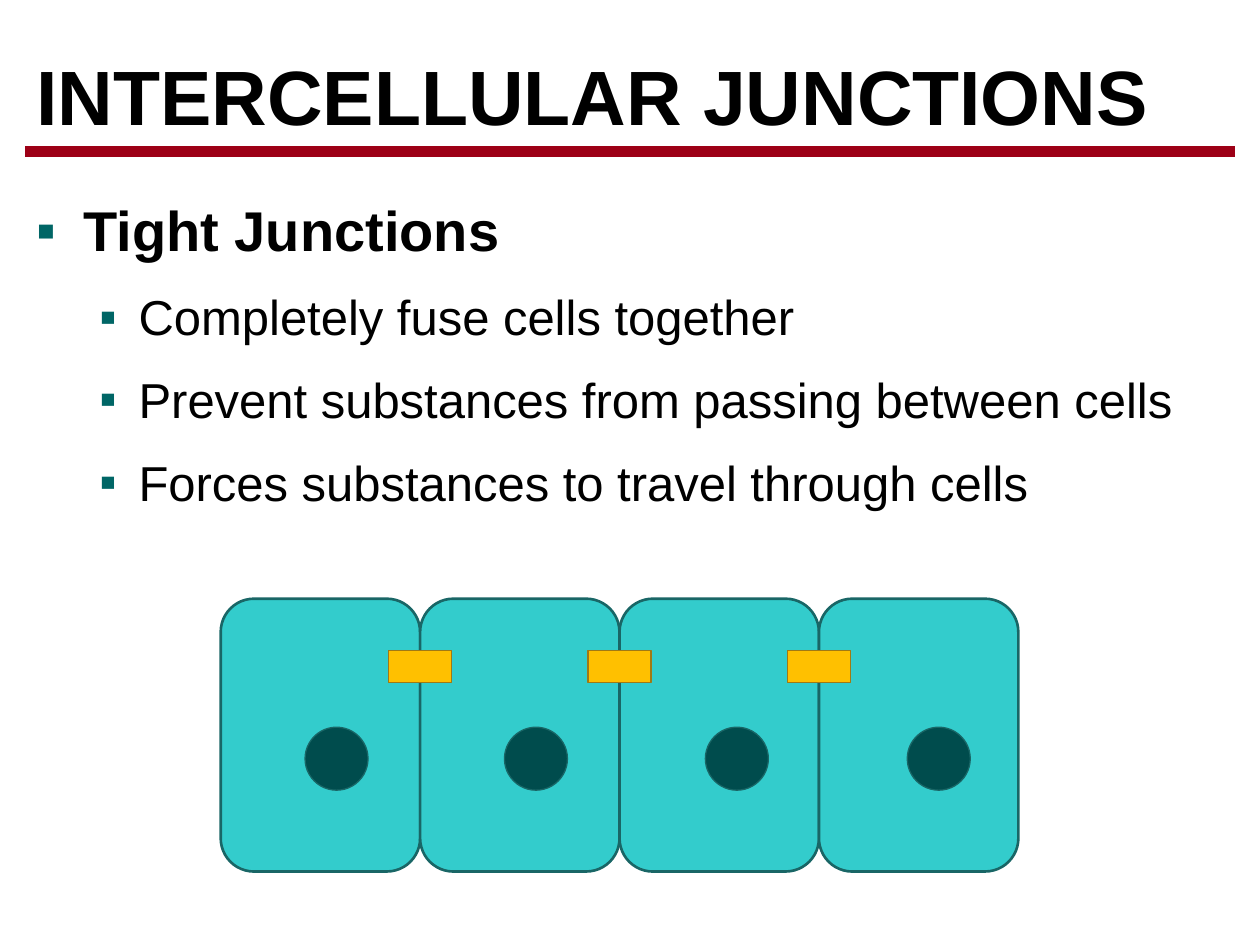
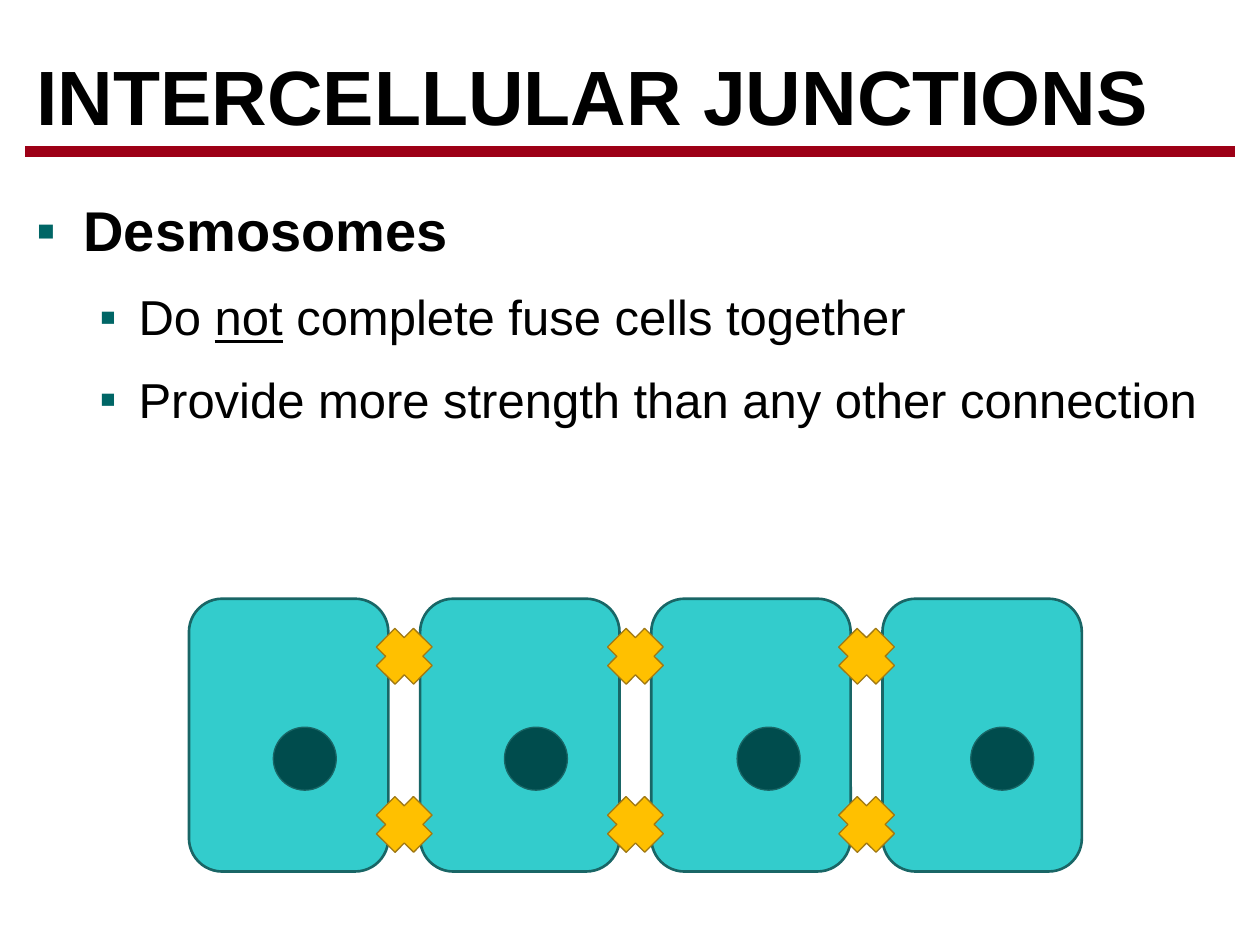
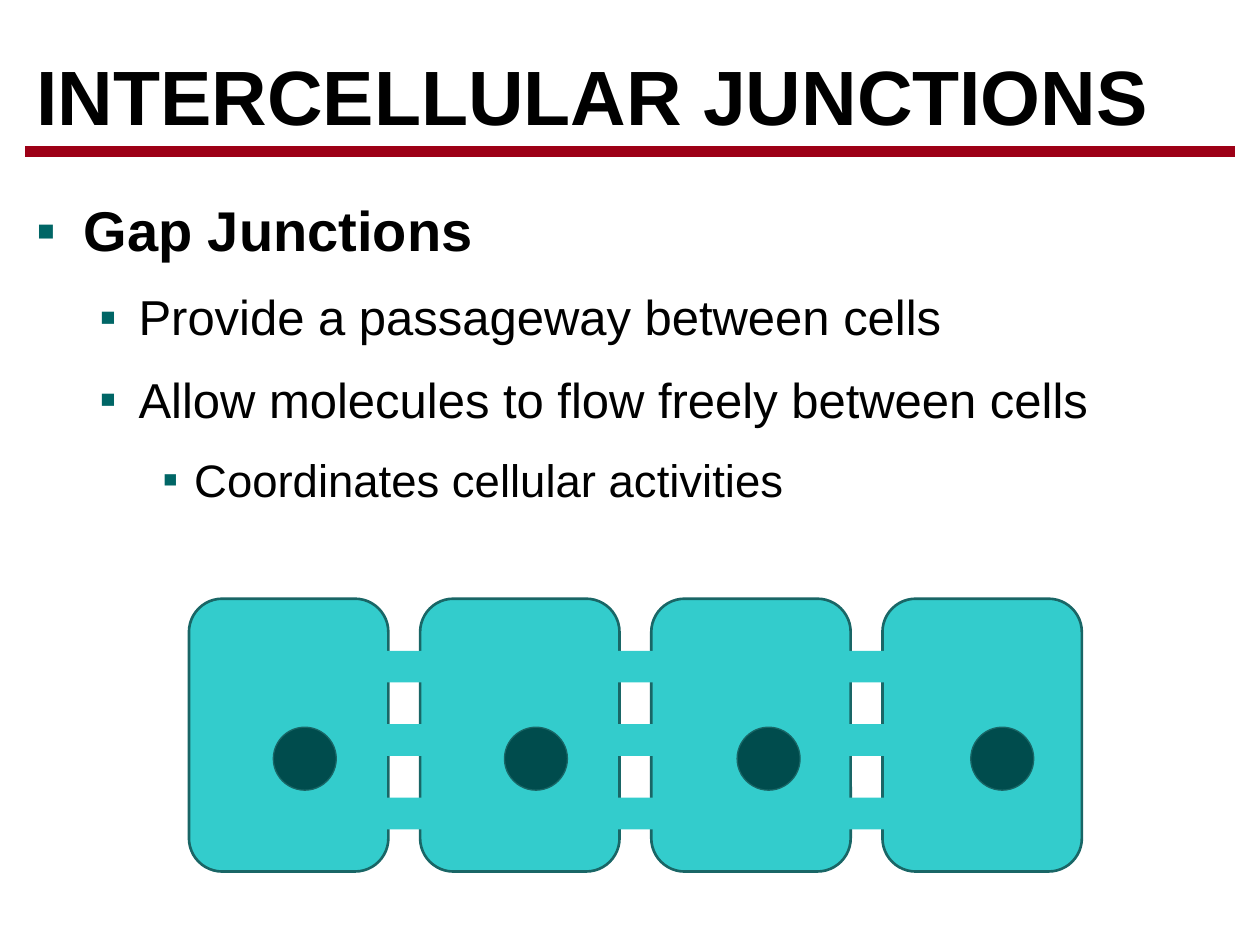
"""Build three slides on the junctions between cells."""
from lxml.etree import SubElement
from pptx import Presentation
from pptx.dml.color import RGBColor
from pptx.enum.shapes import MSO_CONNECTOR, MSO_SHAPE
from pptx.enum.text import MSO_ANCHOR, MSO_AUTO_SIZE, PP_ALIGN
from pptx.oxml.ns import qn
from pptx.util import Cm, Pt

COLORS = {
    "text": "000000", "rule": "9D0016", "bullet": "006666",
    "cell": "33CCCC", "edge": "196666", "nucleus": "004C4D",
    "joint": "FFC000", "joint_edge": "A07914",
}
FONT = "Arial"
TITLE = "INTERCELLULAR JUNCTIONS"
LEVELS = [
    {"size": 32, "bold": True, "left": 0.95, "hang": 0.95},
    {"size": 28, "bold": False, "left": 2.06, "hang": 0.79},
    {"size": 26, "bold": False, "left": 3.18, "hang": 0.64},
]
CELL_W, CELL_H, CELL_TOP = 4.02, 5.5, 12.07
NUCLEUS, NUCLEUS_TOP = 1.27, 14.66
NUCLEUS_OFFSETS = (1.7, 1.7, 1.73, 1.78)
JOINT_W, JOINT_H, JOINT_TOP = 1.27, 0.64, 13.12
PLUS = 1.06


def rgb(name):
    return RGBColor.from_string(COLORS[name])


def apply(obj, **values):
    for name, value in values.items():
        setattr(obj, name, value)


class Deck:
    def __init__(self):
        self.prs = Presentation()
        apply(self.prs, slide_width=Cm(25.4), slide_height=Cm(19.05))
        self.s = None

    def slide(self, items):
        self.s = self.prs.slides.add_slide(self.prs.slide_layouts[1])
        self.title()
        self.body(items)
        self.rule()

    def place(self, sp, left, top, width, height, anchor):
        apply(sp, left=Cm(left), top=Cm(top), width=Cm(width), height=Cm(height))
        tf = sp.text_frame
        apply(tf, word_wrap=True, auto_size=MSO_AUTO_SIZE.NONE, vertical_anchor=anchor)
        return tf

    def run(self, p, text, size, bold, underline=None):
        r = p.add_run()
        r.text = text
        apply(r.font, name=FONT, size=Pt(size), bold=bold, underline=underline)
        r.font.color.rgb = rgb("text")

    def title(self):
        tf = self.place(self.s.shapes.title, 0.48, 0.64, 24.38, 2.33, MSO_ANCHOR.BOTTOM)
        p = tf.paragraphs[0]
        p.alignment = PP_ALIGN.LEFT
        self.run(p, TITLE, 44, True)

    def body(self, items):
        tf = self.place(self.s.placeholders[1], 0.48, 3.7, 24.92, 6.88, MSO_ANCHOR.TOP)
        tf.margin_top = Cm(0.25)
        for i, (level, text) in enumerate(items):
            p = tf.add_paragraph() if i else tf.paragraphs[0]
            style = LEVELS[level]
            p.level = level
            self.bullet(p, style, 20000 if i else 0)
            for j, part in enumerate(text.split("_")):
                self.run(p, part, style["size"], style["bold"], j % 2 == 1)

    def bullet(self, p, style, before):
        pPr = p._p.get_or_add_pPr()
        pPr.set("marL", str(Cm(style["left"])))
        pPr.set("indent", str(-Cm(style["hang"])))
        for tag, child, val in (("spcBef", "spcPct", before), ("spcAft", "spcPts", 800),
                                ("buClr", "srgbClr", COLORS["bullet"])):
            SubElement(SubElement(pPr, qn(f"a:{tag}")), qn(f"a:{child}"), val=str(val))
        SubElement(pPr, qn("a:buFont"), typeface=FONT)
        SubElement(pPr, qn("a:buChar"), char="▪")

    def rule(self):
        line = self.s.shapes.add_connector(
            MSO_CONNECTOR.STRAIGHT, Cm(0.51), Cm(3.05), Cm(24.89), Cm(3.05))
        line.line.color.rgb = rgb("rule")
        line.line.width = Pt(6)
        SubElement(line._element.spPr, qn("a:effectLst"))

    def shape(self, kind, left, top, width, height, fill, edge=None, weight=0.75):
        sp = self.s.shapes.add_shape(kind, Cm(left), Cm(top), Cm(width), Cm(height))
        sp.shadow.inherit = False
        sp.fill.solid()
        sp.fill.fore_color.rgb = rgb(fill)
        if edge:
            sp.line.color.rgb = rgb(edge)
            sp.line.width = Pt(weight)
        else:
            sp.line.fill.background()
        return sp

    def cells(self, left, pitch):
        for i, offset in enumerate(NUCLEUS_OFFSETS):
            x = left + i * pitch
            self.shape(MSO_SHAPE.ROUNDED_RECTANGLE, x, CELL_TOP, CELL_W, CELL_H,
                       "cell", "edge", 1.5)
            self.shape(MSO_SHAPE.OVAL, x + offset, NUCLEUS_TOP, NUCLEUS, NUCLEUS,
                       "nucleus", "edge")
        return [left + i * pitch + (CELL_W + pitch) / 2 for i in range(3)]

    def tight_joints(self, centers):
        for x in centers:
            self.shape(MSO_SHAPE.RECTANGLE, x - JOINT_W / 2, JOINT_TOP, JOINT_W, JOINT_H,
                       "joint", "joint_edge")

    def desmosomes(self, centers):
        for top in (12.7, 16.09):
            for x in centers:
                sp = self.shape(MSO_SHAPE.CROSS, x - PLUS / 2, top, PLUS, PLUS,
                                "joint", "joint_edge")
                sp.rotation = 44.8

    def channels(self):
        for row, shift in enumerate((0, -0.11, 0)):
            for x in (7.62, 12.07, 16.83):
                self.shape(MSO_SHAPE.RECTANGLE, x + shift, JOINT_TOP + row * 1.48,
                           JOINT_W, JOINT_H, "cell")


def main():
    deck = Deck()

    deck.slide([(0, "Tight Junctions"),
                (1, "Completely fuse cells together"),
                (1, "Prevent substances from passing between cells"),
                (1, "Forces substances to travel through cells")])
    deck.tight_joints(deck.cells(4.45, CELL_W))

    deck.slide([(0, "Desmosomes"),
                (1, "Do _not_ complete fuse cells together"),
                (1, "Provide more strength than any other connection")])
    deck.desmosomes(deck.cells(3.81, 4.66))

    deck.slide([(0, "Gap Junctions"),
                (1, "Provide a passageway between cells"),
                (1, "Allow molecules to flow freely between cells"),
                (2, "Coordinates cellular activities")])
    deck.cells(3.81, 4.66)
    deck.channels()

    deck.prs.save("out.pptx")


if __name__ == "__main__":
    main()
